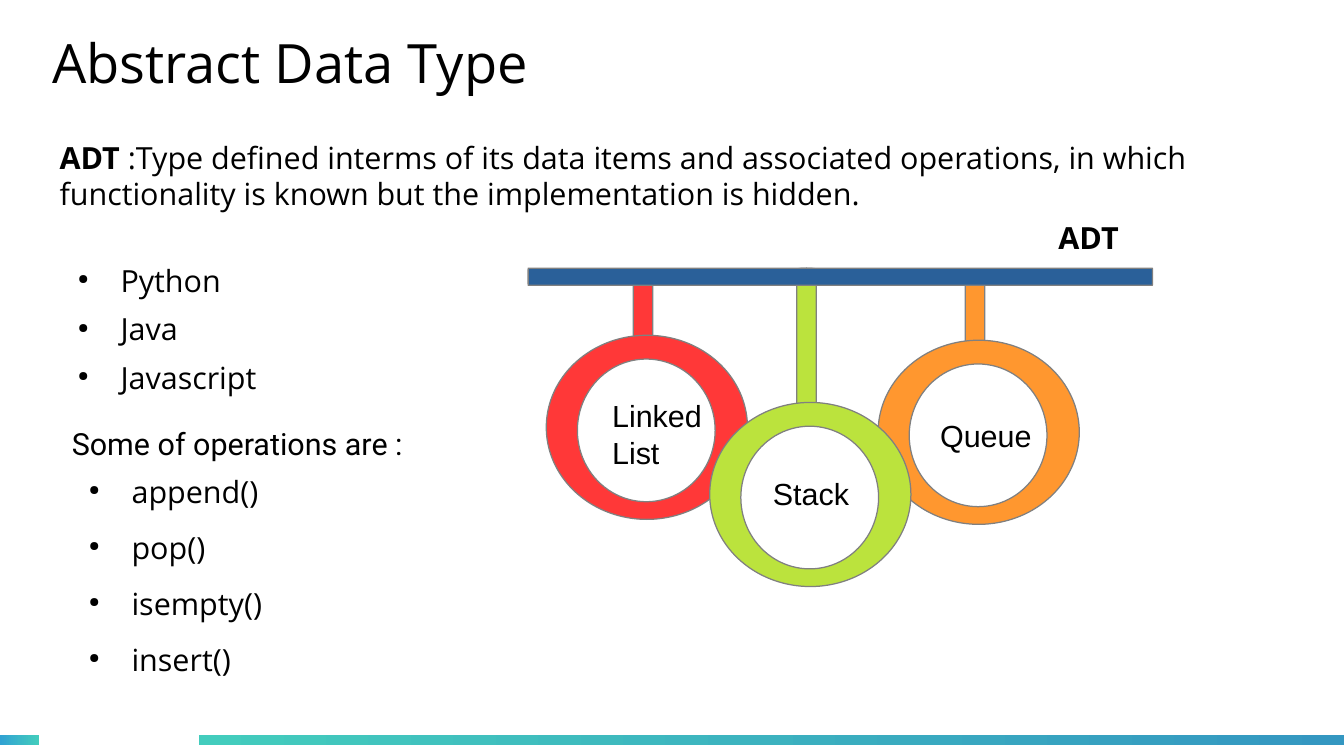
from dataclasses import dataclass

from lxml import etree
from pptx import Presentation
from pptx.dml.color import RGBColor
from pptx.enum.shapes import MSO_SHAPE
from pptx.enum.text import MSO_ANCHOR
from pptx.oxml.ns import qn
from pptx.util import Inches, Pt

CAN, ELLIPSE, RECTANGLE = MSO_SHAPE.CAN, MSO_SHAPE.OVAL, MSO_SHAPE.RECTANGLE
TOP, MIDDLE = MSO_ANCHOR.TOP, MSO_ANCHOR.MIDDLE

WIDTH, HEIGHT = Inches(11.02), Inches(6.2)
COLUMN, ROW = WIDTH / 100, HEIGHT / 100

BLACK, WHITE, GREY = "000000", "FFFFFF", "808080"
RED, GREEN, ORANGE, BLUE = "FF3838", "BBE33D", "FF972F", "2A6099"
TEAL, SKY, SEA = "43CCBD", "30A2D2", "3497C1"
BODY_FONT, HEADING_FONT, LABEL_FONT = "Open Sans", "Roboto", "Arial"
BODY_SIZE, TITLE_SIZE = 18, 32


@dataclass(frozen=True)
class Box:
    """A rectangle in columns and rows, each a hundredth of the slide."""
    left: float
    top: float
    width: float
    height: float

    def lengths(self) -> tuple[int, int, int, int]:
        """Return the box as slide lengths."""
        return (round(self.left * COLUMN), round(self.top * ROW),
                round(self.width * COLUMN), round(self.height * ROW))


@dataclass(frozen=True)
class Run:
    """A stretch of text in one style."""
    text: str
    bold: bool = False


@dataclass(frozen=True)
class Pendulum:
    """A ring that hangs from the beam by a rod."""
    color: str
    left: float
    top: float
    rod_top: float
    rod_height: float
    label: Box
    lines: tuple[str, ...]


@dataclass(frozen=True)
class FooterBar:
    """A bar at the foot of the slide that fades from left to right."""
    box: Box
    start: str
    end: str


PENDULUMS = (
    Pendulum(ORANGE, 65.34, 45, 36.13, 11.94, Box(69.06, 54.35, 8.89, 9.19), ("Queue",)),
    Pendulum(RED, 40.65, 44.35, 36.13, 11.94, Box(44.65, 51.77, 10.44, 10.65), ("Linked", "List")),
    Pendulum(GREEN, 52.81, 53.23, 35.48, 19.84, Box(56.62, 62.1, 8.71, 6.45), ("Stack",)),
)
FOOTER_BARS = (
    FooterBar(Box(0, 97.26, 2.9, 1.29), SKY, TEAL),
    FooterBar(Box(14.79, 97.26, 85.21, 1.29), TEAL, SEA),
)
LANGUAGES = ("Python", "Java", "Javascript")
LANGUAGE_STEP = 6.4
OPERATIONS = ("append()", "pop()", "isempty()", "insert()")


def rgb(color: str) -> RGBColor:
    """Turn a hex string into a colour."""
    return RGBColor.from_string(color)


def add_bullet(paragraph) -> None:
    """Give a paragraph a small round bullet and a hanging indent."""
    properties = paragraph._p.get_or_add_pPr()
    properties.set("marL", str(Inches(0.47)))
    properties.set("indent", str(Inches(-0.35)))
    bullet_color = etree.SubElement(properties, qn("a:buClr"))
    etree.SubElement(bullet_color, qn("a:srgbClr"), val=BLACK)
    etree.SubElement(properties, qn("a:buSzPct"), val="45000")
    etree.SubElement(properties, qn("a:buChar"), char="●")
    paragraph.space_after = Pt(11.4)


def add_text(shapes, box: Box, paragraphs: list[list[Run]], font: str = BODY_FONT,
             size: int = BODY_SIZE, bulleted: bool = False, anchor=TOP,
             margins: tuple[float, float] = (0.1, 0.05)) -> None:
    """Write paragraphs of runs in a text box."""
    frame = shapes.add_textbox(*box.lengths()).text_frame
    frame.word_wrap = True
    frame.vertical_anchor = anchor
    frame.margin_left = frame.margin_right = Inches(margins[0])
    frame.margin_top = frame.margin_bottom = Inches(margins[1])
    for index, runs in enumerate(paragraphs):
        paragraph = frame.add_paragraph() if index else frame.paragraphs[0]
        if bulleted:
            add_bullet(paragraph)
        for item in runs:
            run = paragraph.add_run()
            run.text = item.text
            run.font.name = font
            run.font.size = Pt(size)
            run.font.bold = item.bold
            run.font.color.rgb = rgb(BLACK)


def add_solid(shapes, kind, box: Box, color: str):
    """Draw a filled shape with a hairline edge."""
    shape = shapes.add_shape(kind, *box.lengths())
    shape.shadow.inherit = False
    shape.fill.solid()
    shape.fill.fore_color.rgb = rgb(color)
    shape.line.color.rgb = rgb(GREY)
    shape.line.width = Pt(0)
    return shape


def add_footer_bar(shapes, bar: FooterBar) -> None:
    """Draw a footer bar."""
    shape = shapes.add_shape(RECTANGLE, *bar.box.lengths())
    shape.shadow.inherit = False
    shape.line.fill.background()
    shape.fill.gradient()
    shape.fill.gradient_angle = 0
    for stop, color in zip(shape.fill.gradient_stops, (bar.start, bar.end)):
        stop.color.rgb = rgb(color)


def add_pendulum(shapes, item: Pendulum) -> None:
    """Draw a rod, its ring and the label as one group."""
    parts = shapes.add_group_shape().shapes
    rod = add_solid(parts, CAN, Box(item.left + 6.48, item.rod_top, 1.45, item.rod_height), item.color)
    rod.adjustments[0] = 0.113
    add_solid(parts, ELLIPSE, Box(item.left, item.top, 14.97, 24.35), item.color)
    add_solid(parts, ELLIPSE, Box(item.left + 2.31, item.top + 3.15, 10.25, 18.87), WHITE)
    add_text(parts, item.label, [[Run(line)] for line in item.lines], LABEL_FONT)


def add_beam(shapes, box: Box) -> None:
    """Lay a can on its side to fill the box."""
    beam = add_solid(shapes, CAN, box, BLUE)
    left, top, width, height = box.lengths()
    beam.left, beam.top = left + (width - height) // 2, top + (height - width) // 2
    beam.width, beam.height = height, width
    beam.rotation = 270
    beam.adjustments[0] = 0.016


def main() -> None:
    """Build the slide and save it."""
    presentation = Presentation()
    presentation.slide_width, presentation.slide_height = WIDTH, HEIGHT
    shapes = presentation.slides.add_slide(presentation.slide_layouts[6]).shapes

    for bar in FOOTER_BARS:
        add_footer_bar(shapes, bar)
    add_text(shapes, Box(3.9, 0.81, 90, 14.84), [[Run("Abstract Data Type")]],
             size=TITLE_SIZE, anchor=MIDDLE, margins=(0, 0))
    definition = (" :Type defined interms of its data items and associated operations, "
                  "in which functionality is known but the implementation is hidden.")
    add_text(shapes, Box(3.54, 17.58, 94.37, 16.94), [[Run("ADT", True), Run(definition)]])

    for item in PENDULUMS:
        add_pendulum(shapes, item)
    add_beam(shapes, Box(39.29, 35.48, 46.46, 2.26))
    add_text(shapes, Box(77.86, 28.23, 7.71, 7.1), [[Run("ADT", True)]])

    for index, language in enumerate(LANGUAGES):
        add_text(shapes, Box(3.81, 33.87 + index * LANGUAGE_STEP, 37.2, 7.42),
                 [[Run(language)]], bulleted=True)
    add_text(shapes, Box(4.45, 55.48, 36.12, 11.61), [[Run("Some of operations are :")]], HEADING_FONT)
    add_text(shapes, Box(4.63, 61.77, 23.59, 31.29),
             [[Run(operation)] for operation in OPERATIONS], bulleted=True)

    presentation.save("out.pptx")


if __name__ == "__main__":
    main()
